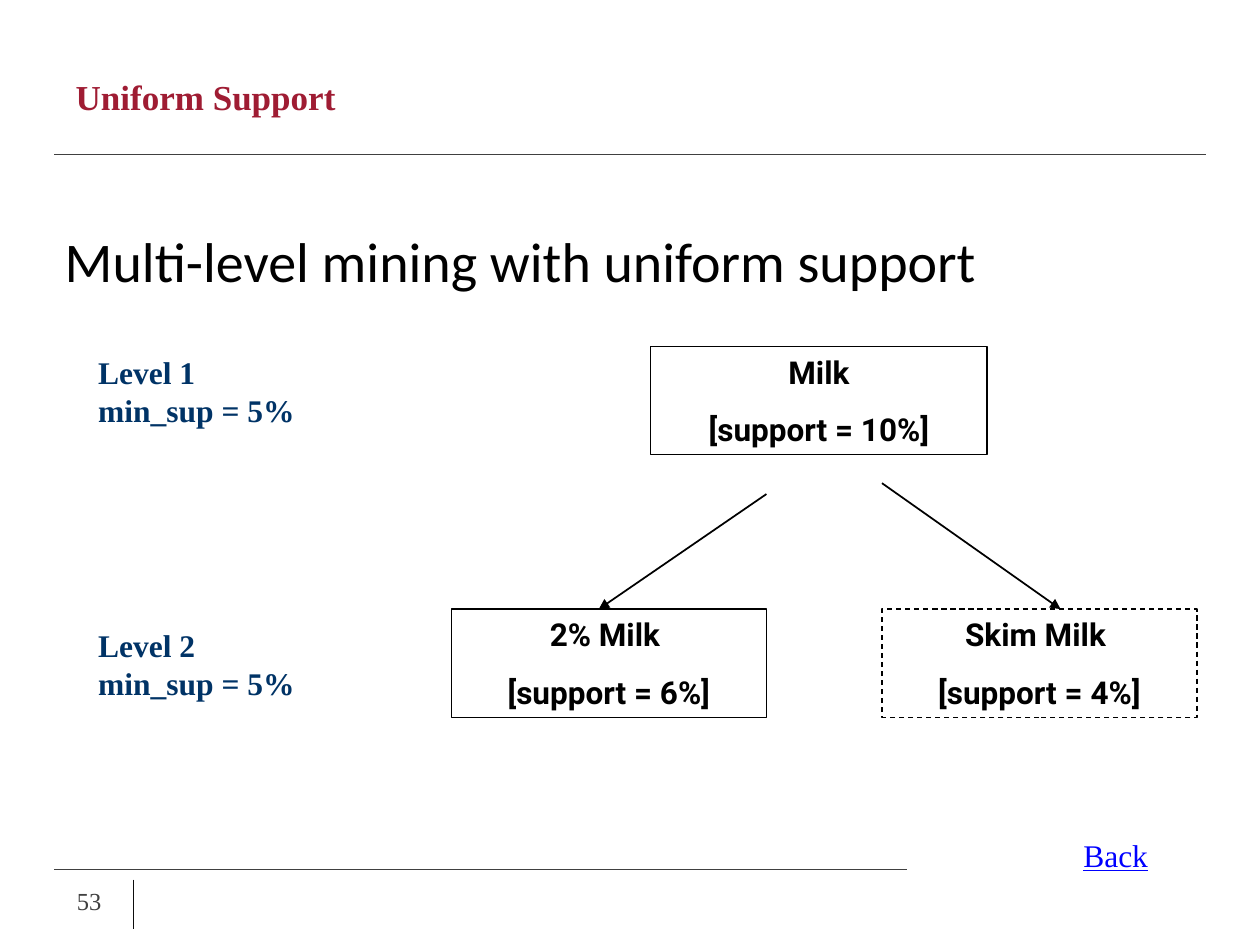
from lxml.etree import SubElement as Sub
from pptx import Presentation as Deck
from pptx.dml.color import RGBColor as Rgb
from pptx.enum.dml import MSO_LINE as Dash
from pptx.enum.shapes import MSO_CONNECTOR as Link, MSO_SHAPE as Form
from pptx.enum.text import MSO_ANCHOR as Anchor, MSO_AUTO_SIZE as Fit, PP_ALIGN as Align
from pptx.oxml.ns import qn
from pptx.util import Cm, Pt

HUES = {"red": "9F1C33", "gray": "404040", "ink": "0D0D0D", "black": "000000",
        "white": "FFFFFF", "navy": "003366", "blue": "0000FF"}
SERIF = "Times New Roman"


def hue(name):
    return Rgb.from_string(HUES[name])


def write(frame, text, font=SERIF, size=18, color="black", bold=False,
          under=False, align=Align.LEFT, gap=0, anchor=Anchor.TOP,
          wrap=True, fit=Fit.NONE):
    frame.word_wrap = wrap
    frame.auto_size = fit
    frame.vertical_anchor = anchor
    for i, line in enumerate(text.split("\n")):
        para = frame.paragraphs[0] if i == 0 else frame.add_paragraph()
        para.alignment = align
        para.space_before = Pt(gap)
        run = para.add_run()
        run.text = line
        face = run.font
        face.name, face.size = font, Pt(size)
        face.bold, face.underline = bold, under
        face.color.rgb = hue(color)


class Page:
    def __init__(self, slide):
        self.slide = slide
        self.shapes = slide.shapes

    def hold(self, index, area, text, **style):
        item = self.slide.placeholders[index]
        item.left, item.top, item.width, item.height = map(Cm, area)
        write(item.text_frame, text, **style)
        return item

    def title(self, area, text):
        self.hold(0, area, text, size=20, color="red", bold=True, anchor=Anchor.MIDDLE)

    def body(self, area, text):
        item = self.hold(1, area, text, font="Calibri", size=32, gap=8)
        for para in item.text_frame.paragraphs:
            props = para._p.get_or_add_pPr()
            props.set("marL", "0")
            props.set("indent", "0")
            Sub(props, qn("a:buNone"))

    def label(self, area, text, **style):
        item = self.shapes.add_textbox(*map(Cm, area))
        write(item.text_frame, text, **style)

    def node(self, area, text, faint=False):
        item = self.shapes.add_shape(Form.RECTANGLE, *map(Cm, area))
        item.shadow.inherit = False
        item.fill.solid()
        item.fill.fore_color.rgb = hue("white")
        item.line.color.rgb = hue("black")
        item.line.width = Pt(0.75)
        if faint:
            item.line.dash_style = Dash.DASH
            tone = item.fill._xPr.find(qn("a:solidFill"))[0]
            Sub(tone, qn("a:alpha"), val="50000")
        write(item.text_frame, text, font="Roboto", bold=True,
              align=Align.CENTER, gap=11.2, fit=Fit.SHAPE_TO_FIT_TEXT)

    def line(self, ends, color="gray", width=0.75, arrow=False):
        item = self.shapes.add_connector(Link.STRAIGHT, *map(Cm, ends))
        item.line.color.rgb = hue(color)
        item.line.width = Pt(width)
        if arrow:
            Sub(item.line._get_or_add_ln(), qn("a:tailEnd"), type="triangle")
        Sub(item._element.spPr, qn("a:effectLst"))


def main():
    deck = Deck()
    deck.slide_width, deck.slide_height = Cm(25.4), Cm(19.05)
    page = Page(deck.slides.add_slide(deck.slide_layouts[1]))

    page.line((1.09, 3.12, 24.31, 3.12))
    page.line((1.09, 17.53, 18.29, 17.53))
    page.line((2.69, 17.73, 2.69, 18.72), color="ink")
    page.title((1.27, 0.76, 22.86, 2.36), "Uniform Support")
    page.label((1.3, 17.65, 1.32, 1.02), "53", size=14, color="gray",
               anchor=Anchor.MIDDLE)
    page.body((1.05, 4.43, 23.29, 2.74), "Multi-level mining with uniform support")

    high, top, low = 2.18, 6.99, 12.28
    page.node((13.12, top, 6.78, high), "Milk\n[support = 10%]")
    page.node((9.1, low, 6.35, high), "2% Milk \n[support = 6%]")
    page.node((17.78, low, 6.35, high), "Skim Milk \n[support = 4%]", faint=True)
    for ends in ((15.45, 9.96, 12.07, low), (17.78, 9.74, 21.38, low)):
        page.line(ends, color="black", width=1, arrow=True)

    for level, y in enumerate((top, 12.5), 1):
        page.label((1.73, y, 4.47, 1.78), f"Level {level}\nmin_sup = 5%",
                   color="navy", bold=True, wrap=False, fit=Fit.SHAPE_TO_FIT_TEXT)
    page.label((21.59, 16.72, 2, 1.02), "Back", color="blue", under=True,
               wrap=False)
    deck.save("out.pptx")


if __name__ == "__main__":
    main()
